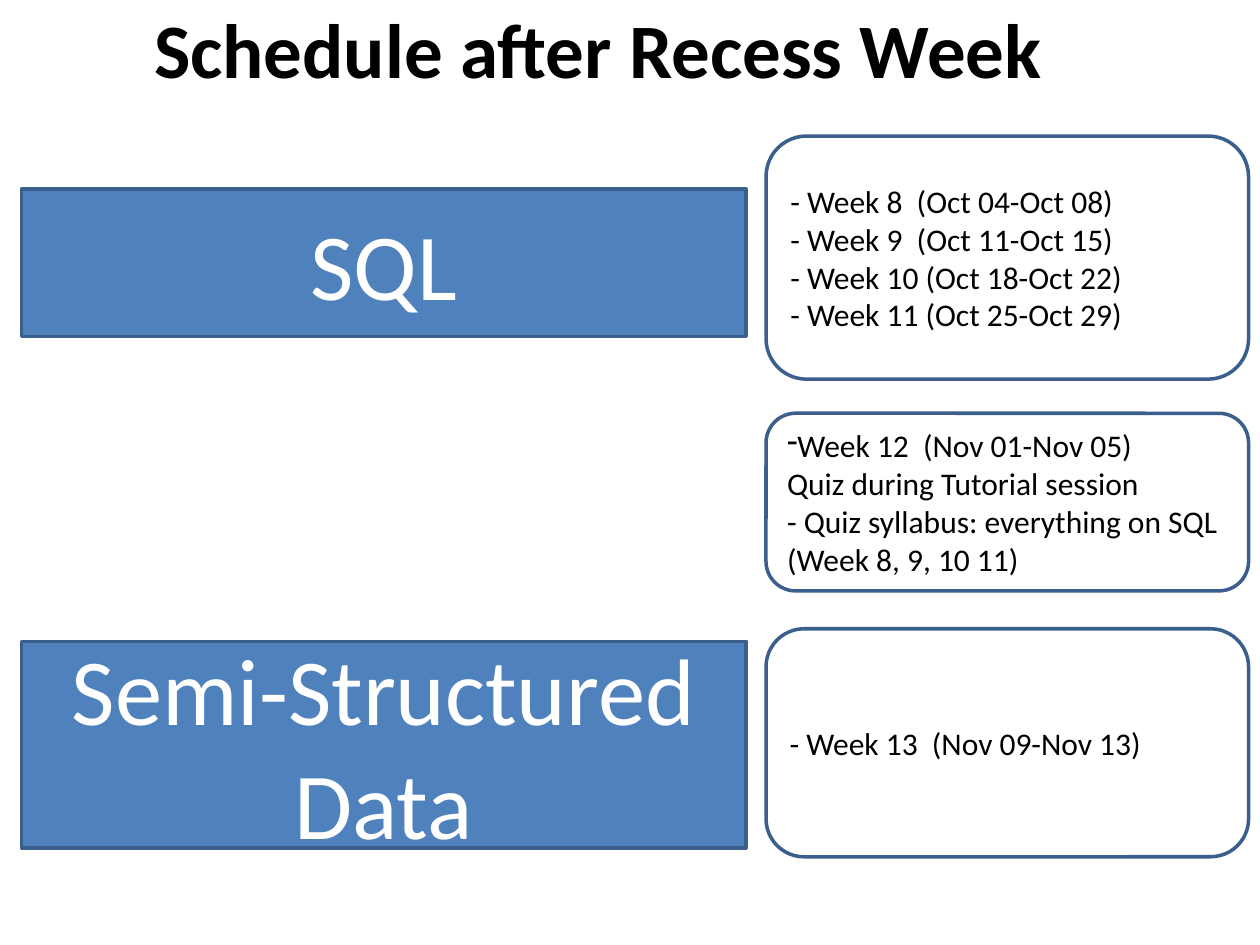
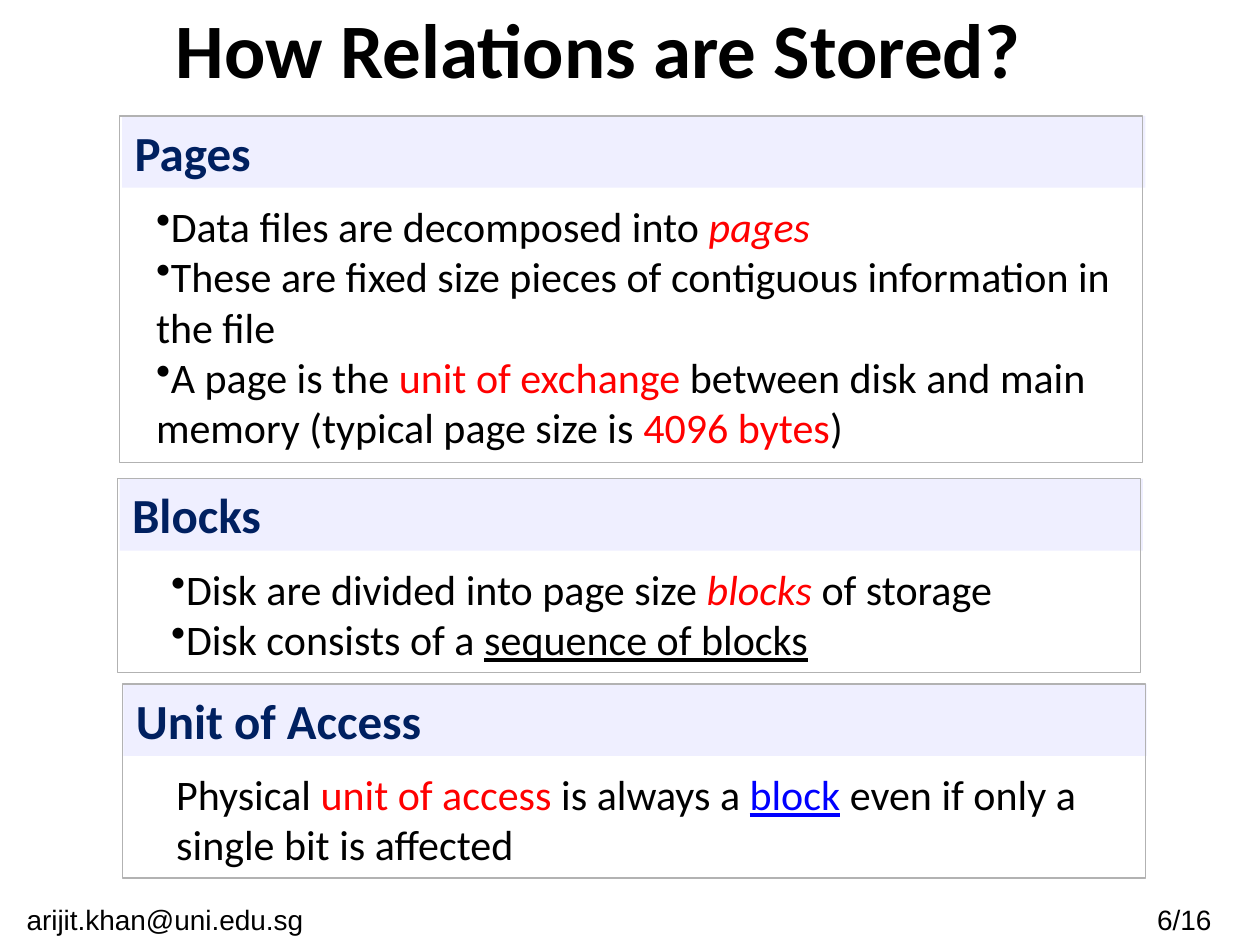
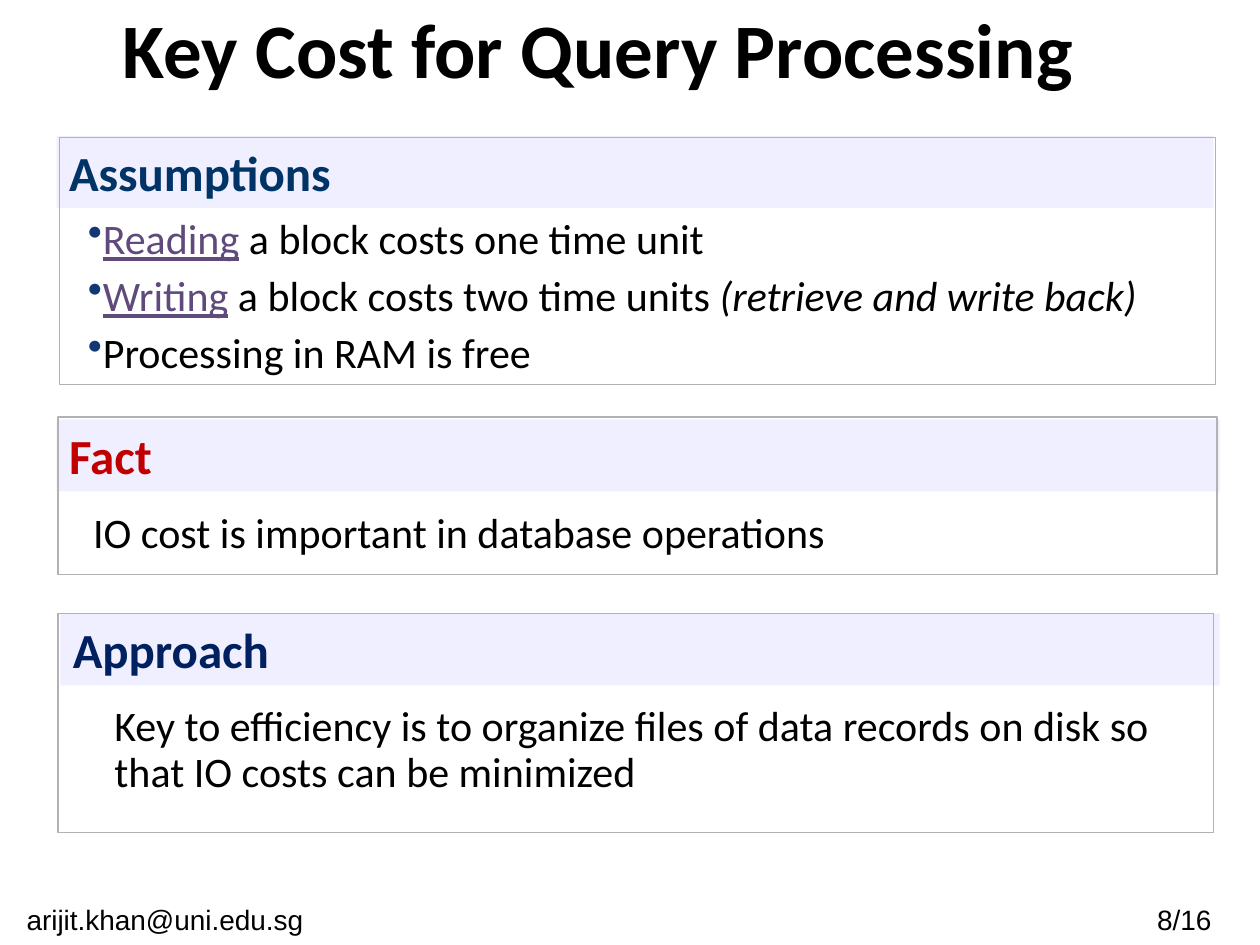
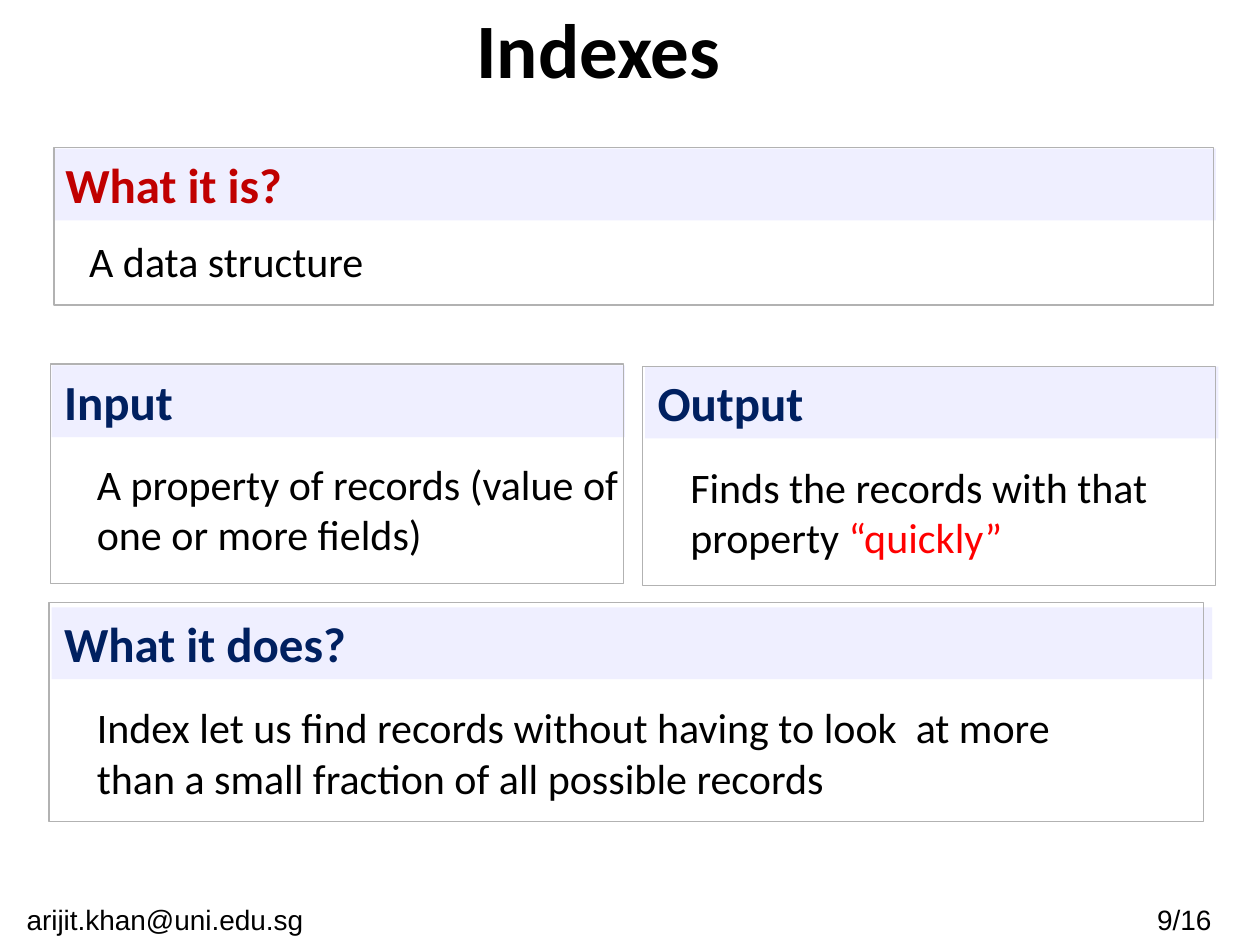
from dataclasses import dataclass

from lxml import etree
from pptx import Presentation
from pptx.dml.color import RGBColor
from pptx.enum.shapes import MSO_SHAPE
from pptx.enum.text import MSO_ANCHOR, MSO_AUTO_SIZE, PP_ALIGN
from pptx.oxml.ns import qn
from pptx.util import Inches, Pt

RECT, ROUND = MSO_SHAPE.RECTANGLE, MSO_SHAPE.ROUNDED_RECTANGLE
LEFT, CENTER = PP_ALIGN.LEFT, PP_ALIGN.CENTER
TOP, MIDDLE = MSO_ANCHOR.TOP, MSO_ANCHOR.MIDDLE
GROW, FIXED = MSO_AUTO_SIZE.SHAPE_TO_FIT_TEXT, MSO_AUTO_SIZE.NONE

# The grid: 100 columns by 75 rows
WIDTH, HEIGHT = Inches(10), Inches(7.5)
COL, ROW = WIDTH / 100, HEIGHT / 75


@dataclass(frozen=True)
class Font:
    size: int
    color: str = "000000"
    bold: bool = False
    face: str = "Calibri"


@dataclass(frozen=True)
class Theme:
    title: Font = Font(44, bold=True)
    body: Font = Font(24)
    week: Font = Font(18)
    topic: Font = Font(54, "FFFFFF")
    foot: Font = Font(16, face="Arial")
    head: int = 28
    navy: str = "002060"
    teal: str = "003366"
    wine: str = "C00000"
    red: str = "FF0000"
    link: str = "0000FF"
    plum: str = "604A7B"
    dot: str = "0F3875"
    blue: str = "4F81BD"
    edge: str = "3A5F8C"
    band: str = "EFEFFF"
    frame: str = "B2B2B2"


THEME = Theme()


# Parts of a slide; all lengths are in columns and rows
@dataclass(frozen=True)
class Box:
    col: float
    row: float
    wide: float
    high: float

    def place(self) -> tuple[int, int, int, int]:
        return (round(self.col * COL), round(self.row * ROW),
                round(self.wide * COL), round(self.high * ROW))


@dataclass(frozen=True)
class Run:
    text: str
    color: str | None = None
    slant: bool = False
    under: bool = False


@dataclass(frozen=True)
class Para:
    runs: list[Run]
    mark: str = ""
    tint: str = ""
    before: float = 0
    lines: float | None = None


@dataclass(frozen=True)
class Panel:
    head: str
    frame: Box
    band: Box
    body: Box
    paras: list[Para]
    color: str = THEME.navy


@dataclass(frozen=True)
class Page:
    title: str
    number: int
    panels: list[Panel]


def plain(text: str, mark: str = "") -> Para:
    return Para([Run(text)], mark)


def rgb(code: str) -> RGBColor:
    return RGBColor.from_string(code)


def add_mark(para, mark: str, tint: str) -> None:
    props = para._p.get_or_add_pPr()
    props.set("marL", "0")
    props.set("indent", "0")
    if tint:
        color = etree.SubElement(props, qn("a:buClr"))
        etree.SubElement(color, qn("a:srgbClr")).set("val", tint)
    etree.SubElement(props, qn("a:buChar")).set("char", mark)


def write(shape, paras: list[Para], font: Font, align=LEFT, anchor=TOP,
          fit=FIXED) -> None:
    frame = shape.text_frame
    frame.word_wrap = True
    frame.auto_size = fit
    frame.vertical_anchor = anchor
    for index, item in enumerate(paras):
        para = frame.add_paragraph() if index else frame.paragraphs[0]
        para.alignment = align
        if item.before:
            para.space_before = Pt(item.before)
        if item.lines:
            para.line_spacing = item.lines
        if item.mark:
            add_mark(para, item.mark, item.tint)
        for part in item.runs:
            run = para.add_run()
            run.text = part.text
            run.font.name = font.face
            run.font.size = Pt(font.size)
            run.font.bold = font.bold
            run.font.italic = part.slant
            run.font.underline = part.under
            run.font.color.rgb = rgb(part.color or font.color)


def add_text(slide, box: Box, paras: list[Para], font: Font, **style) -> None:
    write(slide.shapes.add_textbox(*box.place()), paras, font, **style)


def add_block(slide, box: Box, kind=RECT, fill: str = "", line: str = "",
              width: float = 0.75):
    shape = slide.shapes.add_shape(kind, *box.place())
    shape.shadow.inherit = False
    if fill:
        shape.fill.solid()
        shape.fill.fore_color.rgb = rgb(fill)
    else:
        shape.fill.background()
    if line:
        shape.line.color.rgb = rgb(line)
        shape.line.width = Pt(width)
    else:
        shape.line.fill.background()
    return shape


def add_slide(deck, title: str):
    slide = deck.slides.add_slide(deck.slide_layouts[6])
    add_text(slide, Box(2.5, 0, 90, 7.5), [plain(title)], THEME.title,
             align=CENTER, anchor=MIDDLE)
    return slide


def add_foot(slide, number: int) -> None:
    for box, text in ((Box(88.5, 71.1, 11.6, 3.9), f"{number}/16 "),
                      (Box(0, 71.1, 26.8, 3.9), "arijit.khan@uni.edu.sg ")):
        add_text(slide, box, [plain(text)], THEME.foot, align=CENTER)


def add_panel(slide, panel: Panel) -> None:
    band = add_block(slide, panel.band, fill=THEME.band)
    write(band, [plain(panel.head)], Font(THEME.head, panel.color, True), fit=GROW)
    add_block(slide, panel.frame, line=THEME.frame)
    add_text(slide, panel.body, panel.paras, THEME.body, fit=GROW)


def add_plan(deck) -> None:
    slide = add_slide(deck, "Schedule after Recess Week")
    # Topics on the left
    for text, row, high in TOPICS:
        shape = add_block(slide, Box(1.7, row, 57.5, high), RECT,
                          THEME.blue, THEME.edge, 2)
        write(shape, [plain(text)], THEME.topic, CENTER, MIDDLE)
    # Weeks on the right
    for row, high, paras in WEEKS:
        shape = add_block(slide, Box(60.8, row, 38.3, high), ROUND,
                          line=THEME.edge, width=2)
        write(shape, paras, THEME.week, anchor=MIDDLE)


# Schedule: text, row, height
TOPICS = [("SQL", 15, 11.7), ("Semi-Structured Data", 50.9, 16.4)]
WEEKS = [
    (10.8, 19.3, [plain("- Week 8  (Oct 04-Oct 08)"),
                  plain("- Week 9  (Oct 11-Oct 15)"),
                  plain("- Week 10 (Oct 18-Oct 22)"),
                  plain("- Week 11 (Oct 25-Oct 29)")]),
    (49.9, 18.1, [plain("- Week 13  (Nov 09-Nov 13)")]),
    (32.8, 14.1, [plain("Week 12  (Nov 01-Nov 05)", "-"),
                  plain("Quiz during Tutorial session"),
                  plain("- Quiz syllabus: everything on SQL (Week 8, 9, 10 11)")]),
]


def cost(*runs: Run) -> Para:
    return Para(list(runs), "•", THEME.dot, before=3.6)


# Pages made of panels
STORE = Page("How Relations are Stored?", 6, [
    Panel("Pages", Box(9.5, 9.2, 81.2, 27.5), Box(9.7, 9.2, 81.2, 5.7),
          Box(11.4, 15.4, 79.4, 21.2), [
              Para([Run("Data files are decomposed into "),
                    Run("pages", THEME.red, slant=True)], "•"),
              plain("These are fixed size pieces of contiguous information "
                    "in the file", "•"),
              Para([Run("A page is the "), Run("unit of exchange ", THEME.red),
                    Run("between disk and main memory (typical page size is "),
                    Run("4096 bytes", THEME.red), Run(")")], "•")]),
    Panel("Blocks", Box(9.3, 38, 81.2, 15.4), Box(9.5, 38, 81.2, 5.7),
          Box(12.6, 44.2, 76.2, 9.1), [
              Para([Run("Disk are divided into page size "),
                    Run("blocks", THEME.red, slant=True),
                    Run(" of storage")], "•"),
              Para([Run("Disk consists of a "),
                    Run("sequence of blocks", under=True)], "•")]),
    Panel("Unit of Access", Box(9.7, 54.3, 81.2, 15.4), Box(9.8, 54.3, 81.2, 5.7),
          Box(13, 60.5, 76.2, 9.1), [
              Para([Run("Physical "), Run("unit of access ", THEME.red),
                    Run("is always a "), Run("block", THEME.link, under=True),
                    Run(" even if only a single bit is affected")])]),
])

PRICE = Page("Key Cost for Query Processing", 8, [
    Panel("Assumptions", Box(4.7, 10.9, 91.8, 19.6), Box(4.5, 10.8, 91.8, 5.7),
          Box(6, 16.4, 94, 14.3), [
              cost(Run("Reading", THEME.plum, under=True),
                   Run(" a block costs one time unit")),
              cost(Run("Writing", THEME.plum, under=True),
                   Run(" a block costs two time units "),
                   Run("(retrieve and write back)", slant=True)),
              cost(Run("Processing in RAM is free"))], THEME.teal),
    Panel("Fact", Box(4.6, 33.1, 92, 12.5), Box(4.5, 33.3, 92.3, 5.7),
          Box(6.4, 39.7, 75.3, 9.1),
          [plain("IO cost is important in database operations")], THEME.wine),
    Panel("Approach", Box(4.6, 48.7, 91.7, 17.4), Box(4.8, 48.7, 92, 5.7),
          Box(8.1, 55.5, 86.8, 8.3), [
              Para([Run("Key to efficiency is to organize files of data records "
                        "on disk so that IO costs can be minimized")], lines=0.9)]),
])

INDEX = Page("Indexes", 9, [
    Panel("Input", Box(4, 28.9, 45.5, 17.4), Box(4.1, 29, 45.5, 5.7),
          Box(6.7, 35.9, 44.6, 9.1),
          [plain("A property of records (value of one or more fields)")]),
    Panel("Output", Box(51, 29.1, 45.5, 17.4), Box(51.2, 29.1, 45.5, 5.7),
          Box(53.8, 36.1, 41.1, 9.1), [
              Para([Run("Finds the records with that property "),
                    Run("“quickly”", THEME.red)])]),
    Panel("What it does?", Box(3.9, 47.8, 91.6, 17.4), Box(4.1, 48.2, 92.1, 5.7),
          Box(6.7, 55.2, 82.8, 9.1),
          [plain("Index let us find records without having to look  at more "
                 "than a small fraction of all possible records")]),
    Panel("What it is?", Box(4.3, 11.7, 92, 12.5), Box(4.2, 11.8, 92.3, 5.7),
          Box(6.1, 18.2, 75.3, 9.1), [plain("A data structure")], THEME.wine),
])


def main() -> None:
    deck = Presentation()
    deck.slide_width, deck.slide_height = WIDTH, HEIGHT
    add_plan(deck)
    for page in (STORE, PRICE, INDEX):
        slide = add_slide(deck, page.title)
        add_foot(slide, page.number)
        for panel in page.panels:
            add_panel(slide, panel)
    deck.save("out.pptx")


if __name__ == "__main__":
    main()
